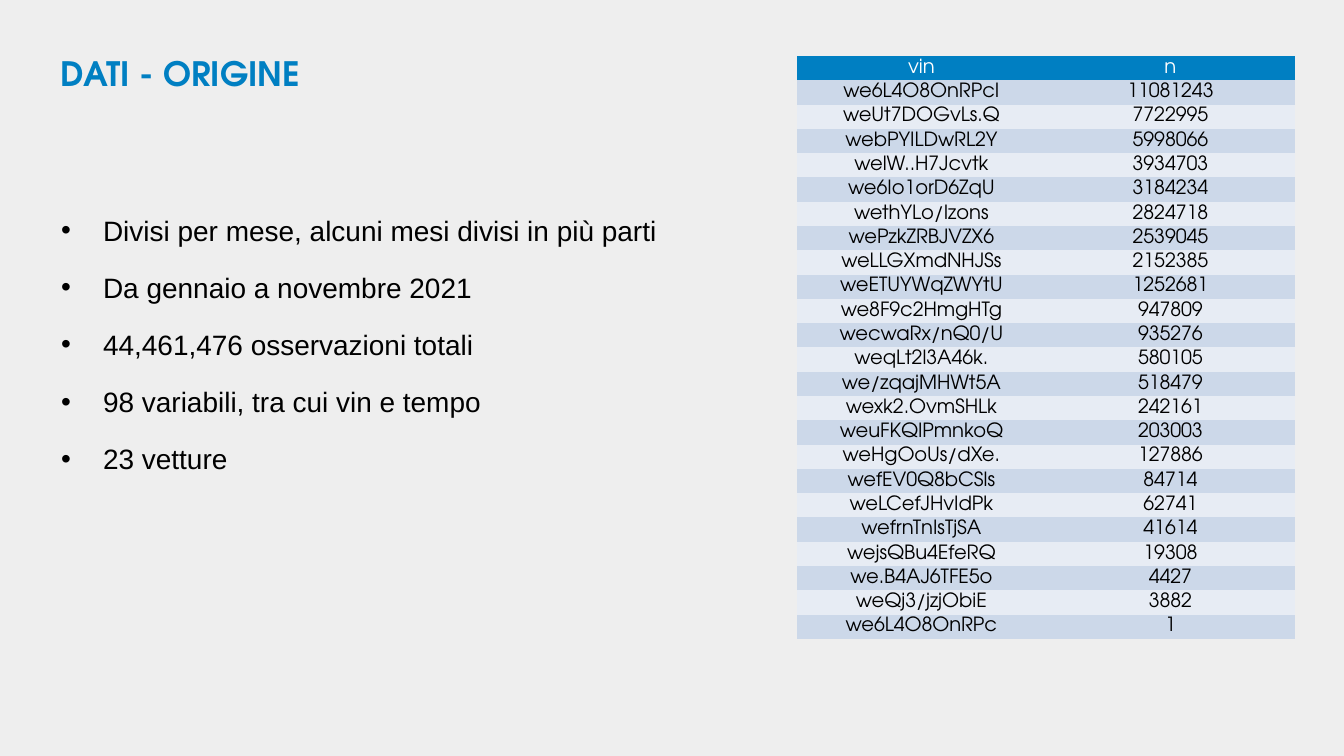
from lxml import etree
from pptx import Presentation
from pptx.dml.color import RGBColor
from pptx.enum.text import MSO_ANCHOR, PP_ALIGN
from pptx.oxml.ns import qn
from pptx.util import Pt

MIDDLE, TOP = MSO_ANCHOR.MIDDLE, MSO_ANCHOR.TOP
CENTER = PP_ALIGN.CENTER
SCALE = 914400 / 134.4  # EMU per px
PLAIN = "{2D5ABB26-0587-4C30-8999-92F81FD0307C}"  # no style, no grid
HEAD, BODY = "TeX Gyre Adventor", "Arial"
COLORS = {
    "back": "EEEEEE",
    "blue": "007FC2",
    "dark": "CCD8E9",
    "light": "E7ECF4",
    "text": "000000",
    "white": "FFFFFF",
}
POINTS = [
    "Divisi per mese, alcuni mesi divisi in più parti",
    "Da gennaio a novembre 2021",
    "44,461,476 osservazioni totali",
    "98 variabili, tra cui vin e tempo",
    "23 vetture",
]
ROWS = [
    ("vin", "n"),
    ("we6L4O8OnRPcI", "11081243"),
    ("weUt7DOGvLs.Q", "7722995"),
    ("webPYILDwRL2Y", "5998066"),
    ("welW..H7Jcvtk", "3934703"),
    ("we6Io1orD6ZqU", "3184234"),
    ("wethYLo/Izons", "2824718"),
    ("wePzkZRBJVZX6", "2539045"),
    ("weLLGXmdNHJSs", "2152385"),
    ("weETUYWqZWYtU", "1252681"),
    ("we8F9c2HmgHTg", "947809"),
    ("wecwaRx/nQ0/U", "935276"),
    ("weqLt2l3A46k.", "580105"),
    ("we/zqajMHWt5A", "518479"),
    ("wexk2.OvmSHLk", "242161"),
    ("weuFKQIPmnkoQ", "203003"),
    ("weHgOoUs/dXe.", "127886"),
    ("wefEV0Q8bCSls", "84714"),
    ("weLCefJHvIdPk", "62741"),
    ("wefrnTnIsTjSA", "41614"),
    ("wejsQBu4EfeRQ", "19308"),
    ("we.B4AJ6TFE5o", "4427"),
    ("weQj3/jzjObiE", "3882"),
    ("we6L4O8OnRPc", "1"),
]


def px(n):
    return round(n * SCALE)


def color(name):
    return RGBColor.from_string(COLORS[name])


def style(para, face, size, tint, bold=False):
    font = para.font
    font.name, font.size, font.bold = face, Pt(size), bold
    font.color.rgb = color(tint)


def add_box(slide, x, y, w, h, anchor):
    frame = slide.shapes.add_textbox(px(x), px(y), px(w), px(h)).text_frame
    frame.word_wrap = True
    frame.vertical_anchor = anchor
    frame.margin_left = frame.margin_right = px(13)
    return frame


def add_title(slide, text):
    frame = add_box(slide, 48, 44, 1159, 58, MIDDLE)
    para = frame.paragraphs[0]
    para.text = text
    style(para, HEAD, 18, "blue", True)


def add_bullet(para):
    props = para._p.get_or_add_pPr()
    props.set("marL", str(px(42)))
    props.set("indent", str(px(-42)))
    etree.SubElement(props, qn("a:buFont"), typeface=BODY)
    etree.SubElement(props, qn("a:buChar"), char="•")


def add_list(slide, items):
    frame = add_box(slide, 48, 177, 724, 554, TOP)
    frame.margin_top = frame.margin_bottom = px(13)
    for i, item in enumerate(items):
        para = frame.add_paragraph() if i else frame.paragraphs[0]
        para.text = item
        add_bullet(para)
        para.line_spacing = 1.7
        style(para, BODY, 15, "text")


def fill_cell(cell, text, back, tint):
    cell.fill.solid()
    cell.fill.fore_color.rgb = color(back)
    cell.margin_left = cell.margin_right = px(4)
    cell.margin_top = cell.margin_bottom = 0
    cell.vertical_anchor = MIDDLE
    para = cell.text_frame.paragraphs[0]
    para.text = text
    para.alignment = CENTER
    style(para, HEAD, 10.5, tint)


def add_grid(slide, rows):
    high = px(583)
    grid = slide.shapes.add_table(
        len(rows), 2, px(797), px(56), px(498), high).table
    grid._tbl.tblPr.find(qn("a:tableStyleId")).text = PLAIN
    for r, row in enumerate(rows):
        grid.rows[r].height = high // len(rows)
        back = ("dark" if r % 2 else "light") if r else "blue"
        for c, text in enumerate(row):
            fill_cell(grid.cell(r, c), text, back, "text" if r else "white")


def main():
    deck = Presentation()
    deck.slide_width, deck.slide_height = px(1344), px(756)
    slide = deck.slides.add_slide(deck.slide_layouts[6])
    slide.background.fill.solid()
    slide.background.fill.fore_color.rgb = color("back")
    # Title and bullets on the left
    add_title(slide, "DATI - ORIGINE")
    add_list(slide, POINTS)
    # Observations per vehicle on the right
    add_grid(slide, ROWS)
    deck.save("out.pptx")


if __name__ == "__main__":
    main()
